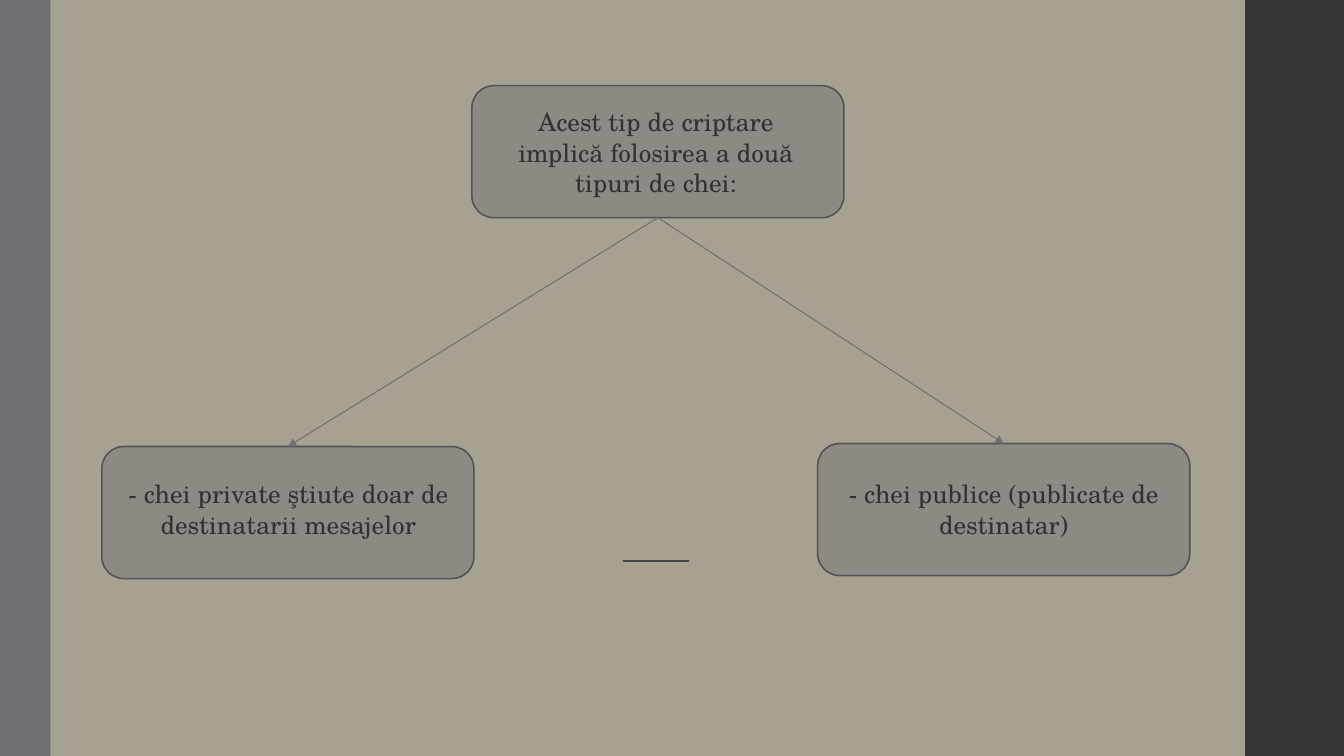
from lxml import etree
from pptx import Presentation
from pptx.dml.color import RGBColor
from pptx.enum import shapes, text
from pptx.oxml.ns import qn
from pptx.util import Inches, Pt

FONT = "TeX Gyre Schola"
COLORS = {"background": "A7A192", "right band": "353537", "left band": "6F6F74",
          "dash": "46464A", "box": "6F6F74", "outline": "525256",
          "arrow": "6F6F74", "text": "000000"}
BOX_W, BOX_H, BOX_OPACITY = 3.69, 1.31, 46

# Content: text, text area (left, top, width, height), box corner (left, top)
NODES = [
    ("Acest tip de criptare implică folosirea a două tipuri de chei:",
     (4.9, 1.01, 3.21, 1.31), (4.68, 0.85)),
    ("- chei private ştiute doar de destinatarii mesajelor",
     (1.15, 4.7, 3.42, 1.01), (1.01, 4.43)),
    ("- chei publice (publicate de destinatar)",
     (8.11, 4.7, 3.69, 1.01), (8.11, 4.4)),
]
BANDS = [("right band", 12.35, 0.98), ("left band", 0, 0.5)]


def rgb(name):
    return RGBColor.from_string(COLORS[name])


def add_box(kind, area, color):
    sp = slide.shapes.add_shape(kind, *map(Inches, area))
    sp.shadow.inherit = False
    sp.fill.solid()
    sp.fill.fore_color.rgb = rgb(color)
    sp.line.fill.background()
    return sp


def add_line(start, end, color, width, arrow=False):
    line = slide.shapes.add_connector(shapes.MSO_CONNECTOR.STRAIGHT,
                                      *map(Inches, (*start, *end)))
    line.line.color.rgb = rgb(color)
    line.line.width = Pt(width)
    if arrow:
        etree.SubElement(line.line._get_or_add_ln(), qn("a:tailEnd"), type="triangle")
    etree.SubElement(line._element.spPr, qn("a:effectLst"))


def add_label(content, area):
    tf = slide.shapes.add_textbox(*map(Inches, area)).text_frame
    tf.word_wrap = True
    p = tf.paragraphs[0]
    p.alignment = text.PP_ALIGN.CENTER
    r = p.add_run()
    r.text = content
    r.font.name, r.font.size = FONT, Pt(18)
    r.font.color.rgb = rgb("text")


prs = Presentation()
prs.slide_width, prs.slide_height = Inches(13.33), Inches(7.5)
slide = prs.slides.add_slide(prs.slide_layouts[6])
slide.background.fill.solid()
slide.background.fill.fore_color.rgb = rgb("background")

# Side bands and short dash
for name, left, width in BANDS:
    add_box(shapes.MSO_SHAPE.RECTANGLE, (left, 0, width, 7.5), name)
add_line((6.83, 5.57), (6.18, 5.57), "dash", 1.5)

# Labels lie beneath the translucent boxes
for content, area, _ in NODES:
    add_label(content, area)
for _, _, corner in NODES:
    sp = add_box(shapes.MSO_SHAPE.ROUNDED_RECTANGLE, (*corner, BOX_W, BOX_H), "box")
    fill = sp._element.spPr.find(qn("a:solidFill"))
    etree.SubElement(fill[0], qn("a:alpha"), val=str(BOX_OPACITY * 1000))
    sp.line.color.rgb = rgb("outline")
    sp.line.width = Pt(1.1)

# Arrows from the bottom of the first box to the top of each key box
(root_left, root_top), *keys = [corner for _, _, corner in NODES]
root = (root_left + BOX_W / 2, root_top + BOX_H)
for left, top in keys:
    add_line(root, (left + BOX_W / 2, top), "arrow", 0.75, arrow=True)

prs.save("out.pptx")
